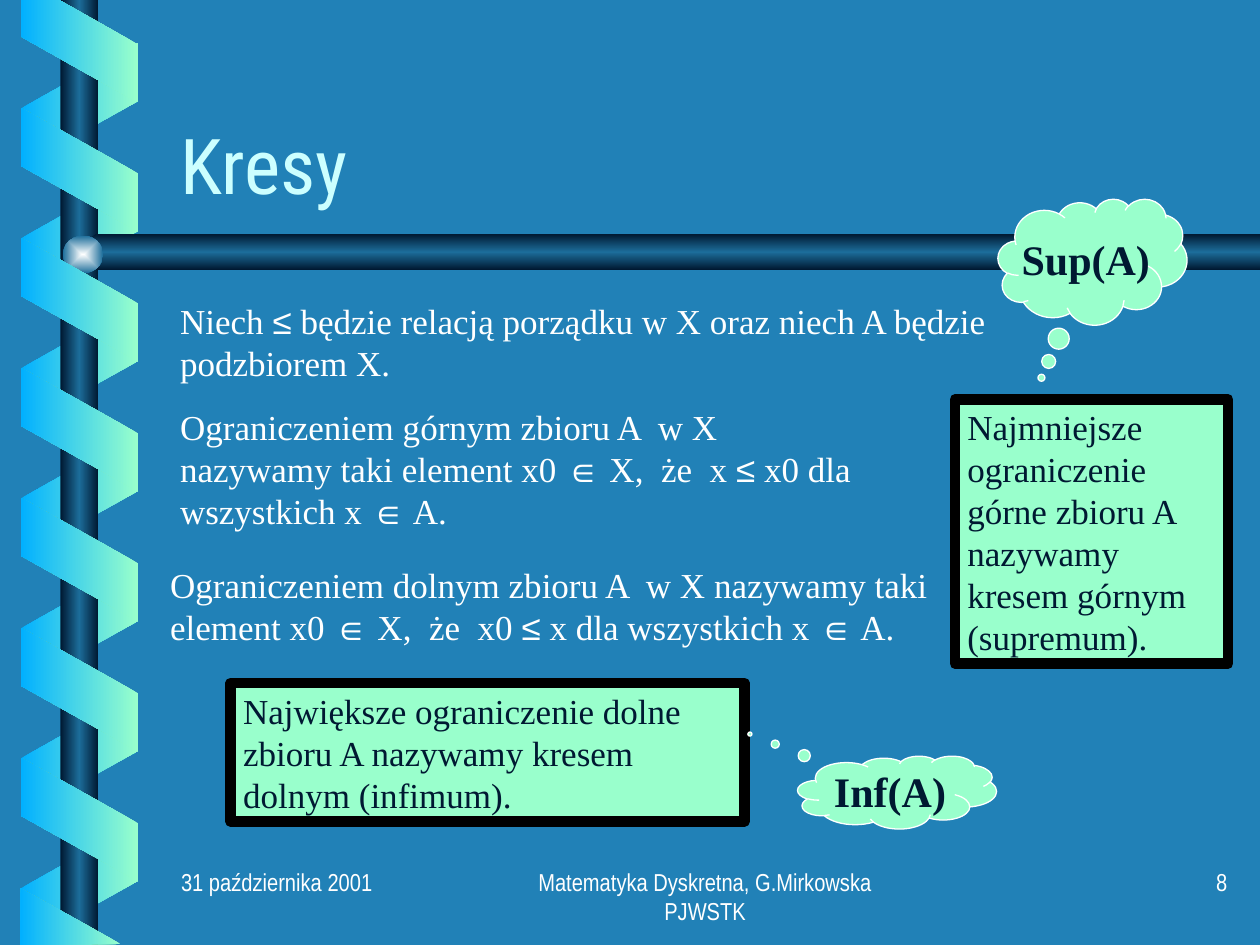
"""Build the slide on bounds of a set, with its spiral binding on the left."""
from dataclasses import dataclass
from itertools import groupby

from lxml import etree
from pptx import Presentation
from pptx.dml.color import RGBColor
from pptx.enum.shapes import MSO_SHAPE
from pptx.enum.text import MSO_ANCHOR, PP_ALIGN
from pptx.oxml.ns import qn
from pptx.util import Cm, Pt

LEFT, CENTER, RIGHT = PP_ALIGN.LEFT, PP_ALIGN.CENTER, PP_ALIGN.RIGHT
TOP, MIDDLE, BOTTOM = MSO_ANCHOR.TOP, MSO_ANCHOR.MIDDLE, MSO_ANCHOR.BOTTOM
RECTANGLE, OVAL = MSO_SHAPE.RECTANGLE, MSO_SHAPE.OVAL
BAND, CLOUD = MSO_SHAPE.PARALLELOGRAM, MSO_SHAPE.CLOUD_CALLOUT

BLUE = RGBColor(0x21, 0x81, 0xB7)
SKY = RGBColor(0x01, 0xB0, 0xFF)
MINT = RGBColor(0x99, 0xFF, 0xCC)
NAVY = RGBColor(0x00, 0x19, 0x32)
STEEL = RGBColor(0x1C, 0x6D, 0x9A)
PEARL = RGBColor(0xFE, 0xFF, 0xFF)
ICE = RGBColor(0xCC, 0xFF, 0xFF)
WHITE = RGBColor(0xFF, 0xFF, 0xFF)
BLACK = RGBColor(0x00, 0x00, 0x00)

SERIF, SYMBOL_FONT = "Times New Roman", "Arial"
TITLE_FONT, FOOTER_FONT = "Roboto Condensed", "Arial Narrow"
SYMBOLS = "≤∈"
BAND_STEP = 2.62


@dataclass(frozen=True)
class Frame:
    """Place and size in centimetres."""
    left: float
    top: float
    width: float
    height: float

    def lengths(self) -> tuple:
        """Give the four values as lengths."""
        return Cm(self.left), Cm(self.top), Cm(self.width), Cm(self.height)


@dataclass(frozen=True)
class Spiral:
    """A column of seven or fewer equal slanted bands."""
    top: float
    count: int
    rotation: int
    flipped: bool
    colors: tuple


@dataclass(frozen=True)
class Passage:
    """A piece of text with its place."""
    frame: Frame
    text: str


@dataclass(frozen=True)
class Footer:
    """One item of the footer row."""
    left: float
    width: float
    text: str
    align: PP_ALIGN


@dataclass(frozen=True)
class Callout:
    """A cloud with the place of its tail."""
    frame: Frame
    text: str
    tail: tuple


SPIRAL_BACK = Spiral(0.93, 7, 90, True, (SKY, MINT))
SPIRAL_FRONT = Spiral(2.24, 6, 270, False, (MINT, SKY))
RAIL = ((25.4, 4.72), (1.93, 4.72), (1.52, 5.08), (1.93, 5.44), (25.4, 5.44))
RIBBON_ENDS = (
    ((0.43, 0), (0.43, 0.74), (2.77, 2.06), (2.77, 0.89), (1.19, 0)),
    ((2.43, 19.03), (0.42, 17.91), (0.41, 19.05)),
)
STATEMENTS = (
    Passage(Frame(3.38, 5.92, 17.98, 1.96),
            "Niech ≤ będzie relacją porządku w X oraz niech A będzie podzbiorem X."),
    Passage(Frame(3.38, 8.05, 14.17, 2.79),
            "Ograniczeniem górnym zbioru A  w X nazywamy taki element x0 ∈ X,  "
            "że  x ≤ x0 dla wszystkich x ∈ A."),
    Passage(Frame(3.18, 11.23, 15.88, 1.96),
            "Ograniczeniem dolnym zbioru A  w X nazywamy taki element x0 ∈ X,  "
            "że  x0 ≤ x dla wszystkich x ∈ A."),
)
DEFINITIONS = (
    Passage(Frame(19.25, 8.05, 5.51, 5.33),
            "Najmniejsze ograniczenie górne zbioru A nazywamy kresem górnym (supremum)."),
    Passage(Frame(4.65, 13.77, 10.36, 2.79),
            "Największe ograniczenie dolne zbioru A nazywamy kresem dolnym (infimum)."),
)
CALLOUTS = (
    Callout(Frame(20.12, 4.01, 3.81, 2.54), "Sup(A)", (-0.27, 0.92)),
    Callout(Frame(16.08, 15.24, 4.01, 1.47), "Inf(A)", (-0.74, -0.8)),
)
FOOTERS = (
    Footer(10.19, 8.05, "Matematyka Dyskretna, G.Mirkowska PJWSTK", CENTER),
    Footer(19.71, 5.28, "8", RIGHT),
    Footer(3.4, 5.28, "31 października 2001", LEFT),
)


def paint_gradient(shape, colors: tuple, angle: int | None) -> None:
    """Fill with evenly spaced colours, along an angle or out from the centre."""
    shape.shadow.inherit = False
    shape.line.fill.background()
    shape.fill.gradient()
    gradient = shape._element.spPr.find(qn("a:gradFill"))
    for child in list(gradient):
        gradient.remove(child)
    gradient.set("rotWithShape", "0")
    stops = etree.SubElement(gradient, qn("a:gsLst"))
    for index, color in enumerate(colors):
        position = 100000 * index // (len(colors) - 1)
        stop = etree.SubElement(stops, qn("a:gs"), pos=str(position))
        etree.SubElement(stop, qn("a:srgbClr"), val=str(color))
    if angle is None:
        center = etree.SubElement(gradient, qn("a:path"), path="rect")
        etree.SubElement(center, qn("a:fillToRect"),
                         {side: "50000" for side in "ltrb"})
    else:
        etree.SubElement(gradient, qn("a:lin"), ang=str(angle * 60000), scaled="0")


def add_spiral(page, spiral: Spiral) -> None:
    """Draw the bands of one side of the spiral."""
    for index in range(spiral.count):
        frame = Frame(0.36, spiral.top + index * BAND_STEP, 2.49, 2.36)
        band = page.shapes.add_shape(BAND, *frame.lengths())
        band.adjustments[0] = 0.56
        band.rotation = spiral.rotation
        if spiral.flipped:
            band._element.spPr.find(qn("a:xfrm")).set("flipH", "1")
        paint_gradient(band, spiral.colors, 180)


def add_outline(page, points: tuple, colors: tuple, angle: int) -> None:
    """Draw a closed outline through points in centimetres."""
    corners = [(Cm(x), Cm(y)) for x, y in points]
    builder = page.shapes.build_freeform(*corners[0], scale=1.0)
    builder.add_line_segments(corners[1:], close=True)
    paint_gradient(builder.convert_to_shape(), colors, angle)


def write(box, text: str, *, size: int = 20, font: str = SERIF,
          color: RGBColor = WHITE, align: PP_ALIGN = LEFT, anchor: MSO_ANCHOR = TOP,
          bold: bool = False, wrap: bool = True, spacing: float = 1.0) -> None:
    """Write one paragraph, with mathematical symbols in their own font."""
    box.text_frame.word_wrap = wrap
    box.text_frame.vertical_anchor = anchor
    para = box.text_frame.paragraphs[0]
    para.alignment = align
    para.line_spacing = spacing
    for symbolic, letters in groupby(text, lambda letter: letter in SYMBOLS):
        span = para.add_run()
        span.text = "".join(letters)
        span.font.name = SYMBOL_FONT if symbolic else font
        span.font.size = Pt(size)
        span.font.bold = bold
        span.font.color.rgb = color


def add_panel(page, kind: MSO_SHAPE, frame: Frame, line: RGBColor, weight: float):
    """Add a mint shape with an outline."""
    panel = page.shapes.add_shape(kind, *frame.lengths())
    panel.shadow.inherit = False
    panel.fill.solid()
    panel.fill.fore_color.rgb = MINT
    panel.line.color.rgb = line
    panel.line.width = Pt(weight)
    return panel


def add_binding(page) -> None:
    """Draw the spiral, its rod and the rail under the title."""
    add_spiral(page, SPIRAL_BACK)
    rod = page.shapes.add_shape(RECTANGLE, *Frame(1.22, 0, 0.76, 19.05).lengths())
    paint_gradient(rod, (NAVY, STEEL, NAVY), 180)
    add_outline(page, RAIL, (NAVY, STEEL, NAVY), 90)
    knob = page.shapes.add_shape(OVAL, *Frame(1.27, 4.75, 0.81, 0.76).lengths())
    paint_gradient(knob, (PEARL, STEEL), None)
    add_spiral(page, SPIRAL_FRONT)
    for points in RIBBON_ENDS:
        add_outline(page, points, (MINT, SKY), 180)


def main() -> None:
    """Build and save the deck."""
    deck = Presentation()
    deck.slide_width, deck.slide_height = Cm(25.4), Cm(19.05)
    page = deck.slides.add_slide(deck.slide_layouts[6])
    page.background.fill.solid()
    page.background.fill.fore_color.rgb = BLUE
    add_binding(page)
    title = page.shapes.add_textbox(*Frame(3.38, 1.17, 21.59, 3.18).lengths())
    write(title, "Kresy", size=44, font=TITLE_FONT, color=ICE, anchor=BOTTOM, spacing=0.8)
    for item in STATEMENTS:
        write(page.shapes.add_textbox(*item.frame.lengths()), item.text)
    for item in DEFINITIONS:
        write(add_panel(page, RECTANGLE, item.frame, BLACK, 6), item.text, color=NAVY)
    for item in CALLOUTS:
        cloud = add_panel(page, CLOUD, item.frame, WHITE, 0.75)
        cloud.adjustments[0], cloud.adjustments[1] = item.tail
        write(cloud, item.text, size=24, color=NAVY, align=CENTER, anchor=MIDDLE,
              bold=True, wrap=False)
    for item in FOOTERS:
        box = page.shapes.add_textbox(*Frame(item.left, 17.35, item.width, 1.27).lengths())
        write(box, item.text, size=14, font=FOOTER_FONT, align=item.align)
    deck.save("out.pptx")


if __name__ == "__main__":
    main()
